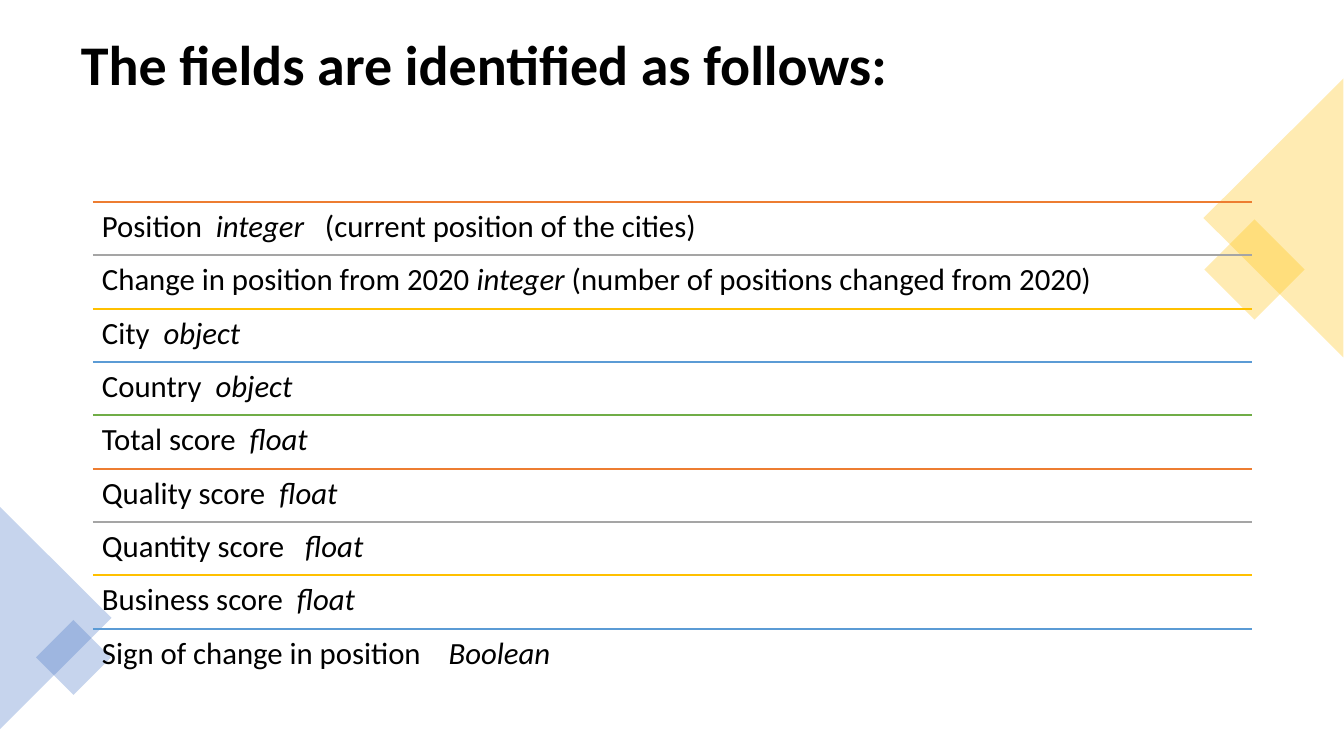
from dataclasses import dataclass
from itertools import cycle

from lxml import etree
from pptx import Presentation
from pptx import util as u
from pptx.dml import color
from pptx.enum import shapes, text
from pptx.oxml import ns

WIDE, HIGH = 1344, 756
SCALE = 12192000 / WIDE


@dataclass(frozen=True)
class Theme:
    """Colours, font and type sizes of the slide."""
    font: str = "Calibri"
    ink: str = "000000"
    gold: str = "FFC000"
    blue: str = "4472C4"
    rules: tuple = ("ED7D31", "A5A5A5", "FFC000", "5B9BD5", "70AD47")
    title: int = 40
    body: int = 22
    alpha: int = 30


@dataclass(frozen=True)
class Field:
    """A data field: its name, its type and a closing remark."""
    name: str
    kind: str
    note: str = ""


@dataclass(frozen=True)
class Deco:
    """A turned, see-through shape at the slide's edge."""
    form: shapes.MSO_SHAPE
    box: tuple
    turn: int
    hue: str


THEME = Theme()
SQUARE = shapes.MSO_SHAPE.RECTANGLE
WEDGE = shapes.MSO_SHAPE.ISOSCELES_TRIANGLE

DECOS = (
    Deco(SQUARE, (1219, 234, 71, 71), 45, THEME.gold),
    Deco(WEDGE, (1134, 148, 279, 140), 270, THEME.gold),
    Deco(WEDGE, (-56, 562, 223, 112), 90, THEME.blue),
    Deco(SQUARE, (47, 631, 53, 53), 45, THEME.blue),
)

FIELDS = (
    Field("Position\u00a0 ", "integer ", "\u00a0\u00a0(current position of the cities)"),
    Field("Change in position from 2020 ", "integer ",
          "(number of positions changed from 2020)"),
    Field("City\u00a0 ", "object"),
    Field("Country\u00a0 ", "object"),
    Field("Total score\u00a0 ", "float"),
    Field("Quality score\u00a0 ", "float"),
    Field("Quantity score \u00a0 ", "float"),
    Field("Business score \u00a0", "float"),
    Field("Sign of change in position\u00a0 \u00a0 ", "Boolean"),
)

LEFT, TOP, WIDTH, SPAN = 93, 202, 1159, 480


def px(size: float) -> u.Emu:
    """Turn pixels into EMU."""
    return u.Emu(round(size * SCALE))


def rgb(code: str) -> color.RGBColor:
    """Turn a hex code into a colour."""
    return color.RGBColor.from_string(code)


def write(slide, box: tuple, parts: list, *, size: int, bold: bool = False,
          pad: tuple = (9, 9), anchor=text.MSO_ANCHOR.TOP) -> None:
    """Add a text box of (words, italic) parts on one line."""
    frame = slide.shapes.add_textbox(*map(px, box)).text_frame
    frame.word_wrap = True
    frame.vertical_anchor = anchor
    frame.margin_left = frame.margin_right = px(pad[0])
    frame.margin_top = frame.margin_bottom = px(pad[1])
    line = frame.paragraphs[0]
    line.line_spacing = 0.9
    for words, slant in parts:
        run = line.add_run()
        run.text = words
        font = run.font
        font.name, font.size = THEME.font, u.Pt(size)
        font.bold, font.italic = bold, slant
        font.color.rgb = rgb(THEME.ink)


def adorn(slide, deco: Deco) -> None:
    """Draw one see-through edge shape."""
    shape = slide.shapes.add_shape(deco.form, *map(px, deco.box))
    shape.rotation = deco.turn
    shape.shadow.inherit = False
    shape.line.fill.background()
    shape.fill.solid()
    shape.fill.fore_color.rgb = rgb(deco.hue)
    tint = shape.fill._xPr.find(".//" + ns.qn("a:srgbClr"))
    etree.SubElement(tint, ns.qn("a:alpha"), val=str(THEME.alpha * 1000))


def rule(slide, y: int, hue: str) -> None:
    """Draw the line above a row."""
    line = slide.shapes.add_connector(
        shapes.MSO_CONNECTOR.STRAIGHT, px(LEFT), px(y), px(LEFT + WIDTH), px(y))
    line.line.color.rgb = rgb(hue)
    line.line.width = u.Pt(1)
    etree.SubElement(line._element.spPr, ns.qn("a:effectLst"))


def build() -> None:
    """Build and save the slide."""
    deck = Presentation()
    deck.slide_width, deck.slide_height = px(WIDE), px(HIGH)
    slide = deck.slides.add_slide(deck.slide_layouts[6])
    for deco in DECOS:
        adorn(slide, deco)
    write(slide, (71, 30, 1202, 74), [("The fields are identified as follows:", False)],
          size=THEME.title, bold=True, pad=(10, 5), anchor=text.MSO_ANCHOR.MIDDLE)
    step = SPAN / len(FIELDS)
    for row, (field, hue) in enumerate(zip(FIELDS, cycle(THEME.rules))):
        y = round(TOP + row * step)
        rule(slide, y, hue)
        parts = [(field.name, False), (field.kind, True), (field.note, False)]
        write(slide, (LEFT, y, WIDTH, round(step)),
              [part for part in parts if part[0]], size=THEME.body)
    deck.save("out.pptx")


build()
